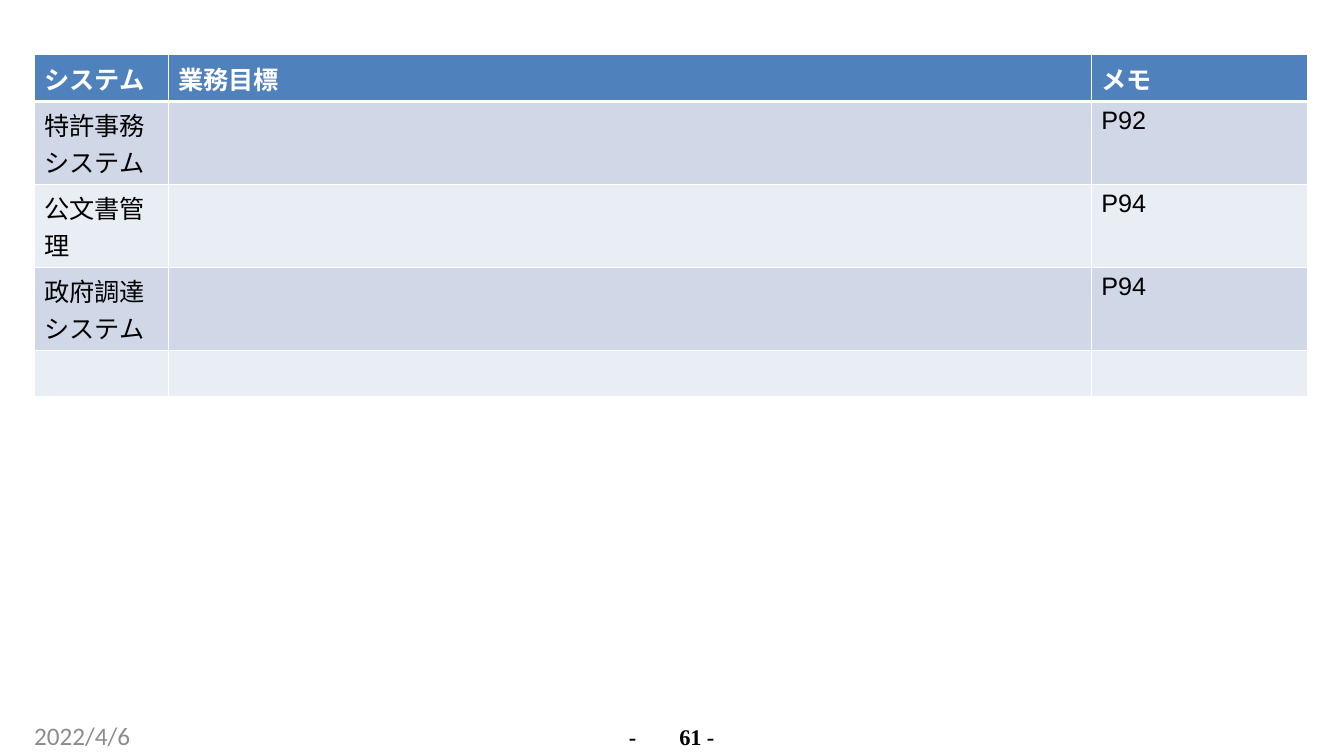
from lxml import etree
from pptx import Presentation
from pptx import util as u
from pptx.dml.color import RGBColor
from pptx.enum import text
from pptx.oxml import ns

HEAD = ("システム", "業務目標", "メモ")
ROWS = (
    ("特許事務システム", "", "P92"),
    ("公文書管理", "", "P94"),
    ("政府調達システム", "", "P94"),
    ("", "", ""),
)
WIDTHS = (3.38, 23.26, 5.46)
HEIGHTS = (1.13, 2.09, 2.09, 2.09, 1.16)
BANDS = ("D0D8E8", "E9EDF4")
LEFT = 0.86


def rgb(code):
    return RGBColor.from_string(code)


def style(para, name, size, color, bold=False):
    for run in para.runs:
        font = run.font
        font.size = u.Pt(size)
        font.bold = bold
        font.color.rgb = rgb(color)
        font.name = name


def east(para, name):
    """Set the East Asian font of each run."""
    for run in para.runs:
        node = etree.SubElement(run.font._element, ns.qn("a:ea"))
        node.set("typeface", name)


def border(cell, color, widths):
    """Draw the sides in the order left, right, top, bottom."""
    props = cell._tc.get_or_add_tcPr()
    for spot, (side, width) in enumerate(zip("LRTB", widths)):
        line = etree.Element(ns.qn("a:ln" + side), w=str(u.Pt(width)))
        fill = etree.SubElement(line, ns.qn("a:solidFill"))
        etree.SubElement(fill, ns.qn("a:srgbClr"), val=color)
        props.insert(spot, line)


def add_cell(cell, words, fill, color, bold, top, base):
    cell.fill.solid()
    cell.fill.fore_color.rgb = rgb(fill)
    border(cell, "FFFFFF", (1, 1, top, base))
    cell.text_frame.text = words
    para = cell.text_frame.paragraphs[0]
    style(para, "Arial", 18, color, bold)
    east(para, "Noto Sans CJK JP")


def add_goals(slide):
    rows = (HEAD,) + ROWS
    frame = slide.shapes.add_table(
        len(rows), len(HEAD), u.Cm(LEFT), u.Cm(1.38),
        u.Cm(sum(WIDTHS)), u.Cm(sum(HEIGHTS)))
    table = frame.table
    for col, width in zip(table.columns, WIDTHS):
        col.width = u.Cm(width)
    for row, height in zip(table.rows, HEIGHTS):
        row.height = u.Cm(height)
    for r, row in enumerate(rows):
        if r == 0:
            look = ("4F81BD", "FFFFFF", True, 1, 3)
        else:
            look = (BANDS[(r - 1) % 2], "000000", False, 3 if r == 1 else 1, 1)
        for c, words in enumerate(row):
            add_cell(table.cell(r, c), words, *look)


def add_text(slide, words, left, top, width, height):
    box = slide.shapes.add_textbox(*map(u.Cm, (left, top, width, height)))
    frame = box.text_frame
    frame.word_wrap = True
    frame.margin_left = frame.margin_right = 0
    frame.margin_top = frame.margin_bottom = 0
    frame.text = words
    return frame.paragraphs[0]


def add_page(slide):
    para = add_text(slide, "-\t61 -", 15.82, 18.26, 2.18, 0.64)
    props = para._p.get_or_add_pPr()
    props.set("marL", str(u.Cm(0.03)))
    props.set("indent", "0")
    tabs = etree.SubElement(props, ns.qn("a:tabLst"))
    etree.SubElement(tabs, ns.qn("a:tab"), pos=str(u.Cm(0.61)), algn="l")
    para.alignment = text.PP_ALIGN.CENTER
    para.line_spacing = u.Pt(18.4)
    style(para, "Times New Roman", 16, "000000", True)
    for run in para.runs:
        run.font._element.set("spc", "-10")


def add_date(slide):
    para = add_text(slide, "2022/4/6", LEFT, 18.14, 7.8, 0.76)
    style(para, "Calibri", 18, "8C8C8C")


def main():
    deck = Presentation()
    deck.slide_width = u.Cm(33.87)
    deck.slide_height = u.Cm(19.05)
    slide = deck.slides.add_slide(deck.slide_layouts[6])
    add_goals(slide)
    add_page(slide)
    add_date(slide)
    deck.save("out.pptx")


if __name__ == "__main__":
    main()
